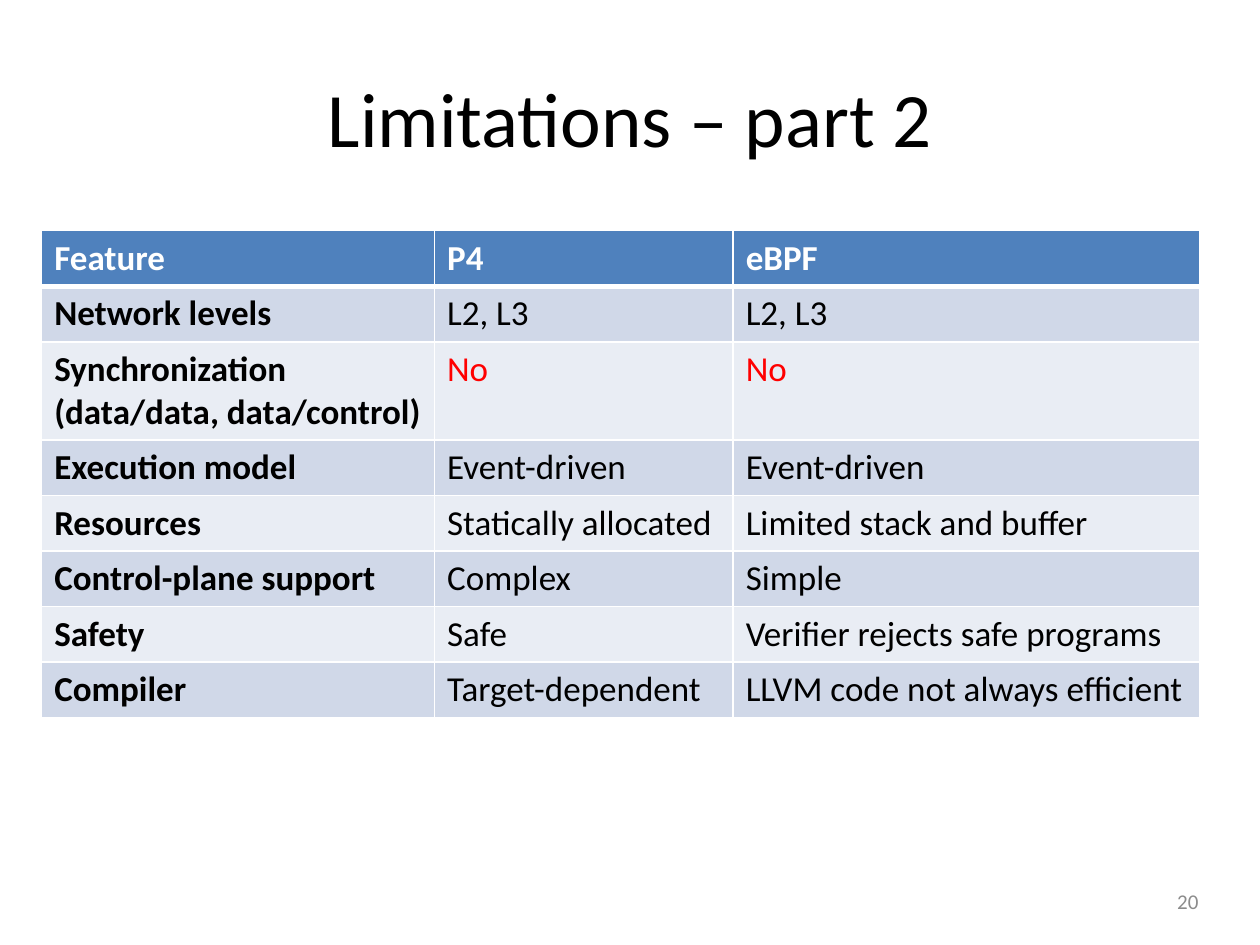
from dataclasses import dataclass

from lxml import etree
from pptx import Presentation
from pptx import util as u
from pptx.dml.color import RGBColor
from pptx.enum import text
from pptx.oxml import ns

BLACK = RGBColor(0x00, 0x00, 0x00)
WHITE = RGBColor(0xFF, 0xFF, 0xFF)
GREY = RGBColor(0x8C, 0x8C, 0x8C)
RED = RGBColor(0xFF, 0x00, 0x00)
BLUE = RGBColor(0x4F, 0x81, 0xBD)
BANDS = (RGBColor(0xE9, 0xED, 0xF4), RGBColor(0xD0, 0xD8, 0xE8))

COLS = (7.92, 6.02, 9.4)
ROW, TALL = 1.12, 1.98
ROWS = (
    ("Feature", "P4", "eBPF"),
    ("Network levels", "L2, L3", "L2, L3"),
    ("Synchronization\n(data/data, data/control)", "No", "No"),
    ("Execution model", "Event-driven", "Event-driven"),
    ("Resources", "Statically allocated", "Limited stack and buffer"),
    ("Control-plane support", "Complex", "Simple"),
    ("Safety", "Safe", "Verifier rejects safe programs"),
    ("Compiler", "Target-dependent", "LLVM code not always efficient"),
)


@dataclass
class Label:
    words: str
    left: float
    top: float
    width: float
    height: float
    align: text.PP_ALIGN
    size: int
    color: RGBColor


LABELS = (
    Label("Limitations – part 2", 1.27, 0.76, 22.86, 3.18,
          text.PP_ALIGN.CENTER, 44, BLACK),
    Label("20", 21.77, 17.65, 2.64, 1.02, text.PP_ALIGN.RIGHT, 12, GREY),
)


def style(frame, color: RGBColor, **form) -> None:
    for para in frame.paragraphs:
        for key, val in {"name": "Calibri", **form}.items():
            setattr(para.font, key, val)
        para.font.color.rgb = color


def add_label(slide, item: Label) -> None:
    spot = map(u.Cm, (item.left, item.top, item.width, item.height))
    frame = slide.shapes.add_textbox(*spot).text_frame
    frame.word_wrap = True
    frame.vertical_anchor = text.MSO_ANCHOR.MIDDLE
    frame.text = item.words
    frame.paragraphs[0].alignment = item.align
    style(frame, item.color, size=u.Pt(item.size))


def add_edges(cell, base: int) -> None:
    """Draw white cell borders, the bottom one base points wide."""
    props = cell._tc.get_or_add_tcPr()
    widths = {"lnL": 1, "lnR": 1, "lnT": 1, "lnB": base}
    for spot, (tag, width) in enumerate(widths.items()):
        line = etree.Element(ns.qn(f"a:{tag}"), w=str(u.Pt(width)))
        fill = etree.SubElement(line, ns.qn("a:solidFill"))
        etree.SubElement(fill, ns.qn("a:srgbClr"), val=str(WHITE))
        props.insert(spot, line)


def add_grid(slide) -> None:
    highs = [TALL if "\n" in row[0] else ROW for row in ROWS]
    spot = map(u.Cm, (0.84, 4.65, sum(COLS), sum(highs)))
    grid = slide.shapes.add_table(len(ROWS), len(COLS), *spot).table
    for col, width in zip(grid.columns, COLS):
        col.width = u.Cm(width)
    for r, (row, high) in enumerate(zip(ROWS, highs)):
        grid.rows[r].height = u.Cm(high)
        head = r == 0
        for c, words in enumerate(row):
            cell = grid.cell(r, c)
            cell.text = words
            cell.fill.solid()
            cell.fill.fore_color.rgb = BLUE if head else BANDS[r % 2]
            color = WHITE if head else RED if words == "No" else BLACK
            style(cell.text_frame, color, size=u.Pt(20), bold=head or c == 0)
            add_edges(cell, 3 if head else 1)


def main() -> None:
    deck = Presentation()
    deck.slide_width, deck.slide_height = u.Cm(25.4), u.Cm(19.05)
    slide = deck.slides.add_slide(deck.slide_layouts[6])
    for item in LABELS:
        add_label(slide, item)
    add_grid(slide)
    deck.save("out.pptx")


if __name__ == "__main__":
    main()
